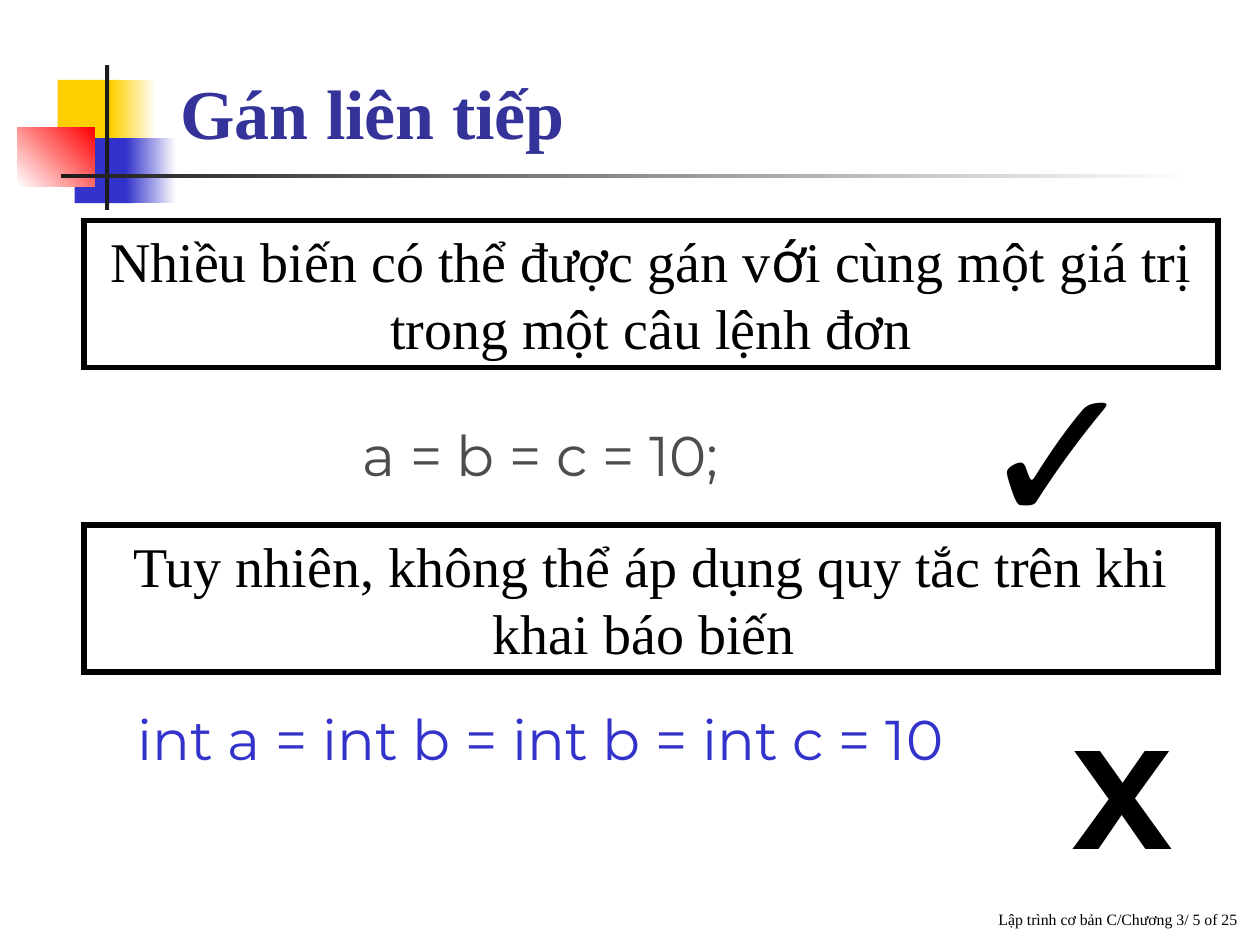
from dataclasses import dataclass

from lxml.etree import SubElement
from pptx import Presentation
from pptx.dml.color import RGBColor
from pptx.enum.shapes import MSO_SHAPE
from pptx.enum.text import MSO_ANCHOR, PP_ALIGN
from pptx.oxml.ns import qn
from pptx.util import Inches, Pt


@dataclass(frozen=True)
class Theme:
    serif: str = "Times New Roman"
    sans: str = "Montserrat"
    symbol: str = "Arial"
    accent_letter: str = "Karla"
    black: str = "000000"
    white: str = "FFFFFF"
    gray: str = "4D4D4D"
    rule: str = "1C1C1C"
    yellow: str = "FFCF01"
    blue: str = "3333CC"
    red: str = "FF0000"
    title_color: str = "333399"
    title_size: int = 40
    body_size: int = 32
    check_size: int = 110
    cross_size: int = 80
    footer_size: int = 9


theme = Theme()
deck = Presentation()
deck.slide_width, deck.slide_height = Inches(10), Inches(7.5)
page = deck.slides.add_slide(deck.slide_layouts[6])

# Grid of 120 columns by 90 rows; every area is left, top, width, height in cells
cell = deck.slide_width / 120


def add_rectangle(area):
    box = page.shapes.add_shape(MSO_SHAPE.RECTANGLE, *[round(n * cell) for n in area])
    box.shadow.inherit = False
    return box


def write(box, pieces, size, color, align=PP_ALIGN.LEFT, anchor=MSO_ANCHOR.TOP,
          wrap=True, bold=False):
    frame = box.text_frame
    frame.word_wrap = wrap
    frame.vertical_anchor = anchor
    para = frame.paragraphs[0]
    para.alignment = align
    for text, font in pieces:
        span = para.add_run()
        span.text = text
        span.font.name = font
        span.font.size = Pt(size)
        span.font.bold = bold
        span.font.color.rgb = RGBColor.from_string(color)


# Corner ornament: solid blocks have one colour, fading blocks have two
ornament = [
    ((5.5, 7.6, 5.8, 6.2), [theme.yellow], 0),
    ((10.6, 7.6, 4.3, 6.2), [theme.yellow, theme.white], 0),
    ((7.1, 13.15, 5.5, 6.2), [theme.blue], 0),
    ((12, 13.15, 4.8, 6.2), [theme.blue, theme.white], 0),
    ((1.65, 12.15, 7.4, 5.6), [theme.white, theme.red], 45),
    ((10, 6.2, 0.4, 13.8), [theme.rule], 0),
    ((5.8, 16.6, 108, 0.4), [theme.rule, theme.white], 0),
]
for area, colors, angle in ornament:
    block = add_rectangle(area)
    block.line.fill.background()
    if len(colors) == 1:
        block.fill.solid()
        block.fill.fore_color.rgb = RGBColor.from_string(colors[0])
    else:
        block.fill.gradient()
        block.fill.gradient_angle = angle
        for stop, color in zip(block.fill.gradient_stops, colors):
            stop.color.rgb = RGBColor.from_string(color)

# Footer, title, code lines and verdict marks
code = dict(size=theme.body_size, align=PP_ALIGN.CENTER, wrap=False)
texts = [
    ((46, 83, 73, 6), "Lập trình cơ bản C/Chương 3/ 5 of 25", theme.serif,
     dict(size=theme.footer_size, color=theme.black, align=PP_ALIGN.RIGHT,
          anchor=MSO_ANCHOR.BOTTOM)),
    ((16, 6, 57.4, 9.2), "Gán liên tiếp", theme.serif,
     dict(size=theme.title_size, color=theme.title_color, bold=True,
          anchor=MSO_ANCHOR.BOTTOM)),
    ((14, 39.5, 75, 8.5), "a = b = c = 10;", theme.sans, dict(code, color=theme.gray)),
    ((92, 31, 19.3, 23.3), "✓", theme.symbol,
     dict(size=theme.check_size, color=theme.black)),
    ((8, 66.5, 87, 8.5), "int a = int b = int b = int c = 10", theme.sans,
     dict(code, color=theme.blue)),
    ((101, 67, 10, 8), "X", theme.sans,
     dict(code, size=theme.cross_size, color=theme.black, bold=True)),
]
for area, text, font, style in texts:
    box = page.shapes.add_textbox(*[round(n * cell) for n in area])
    write(box, [(text, font)], **style)

# Framed statements with square corners
statements = [
    (21, [("Nhiều biến có thể được gán v", theme.serif),
          ("ớ", theme.accent_letter),
          ("i cùng một giá trị trong một câu lệnh đơn", theme.serif)]),
    (50, [("Tuy nhiên, không thể áp dụng quy tắc trên khi khai báo biến ",
           theme.serif)]),
]
for top, pieces in statements:
    box = add_rectangle((8, top, 108, 14))
    box.fill.background()
    box.line.color.rgb = RGBColor.from_string(theme.black)
    box.line.width = Pt(3)
    SubElement(box.element.spPr.find(qn("a:ln")), qn("a:miter"), lim="800000")
    write(box, pieces, theme.body_size, theme.black, align=PP_ALIGN.CENTER)

deck.save("out.pptx")
